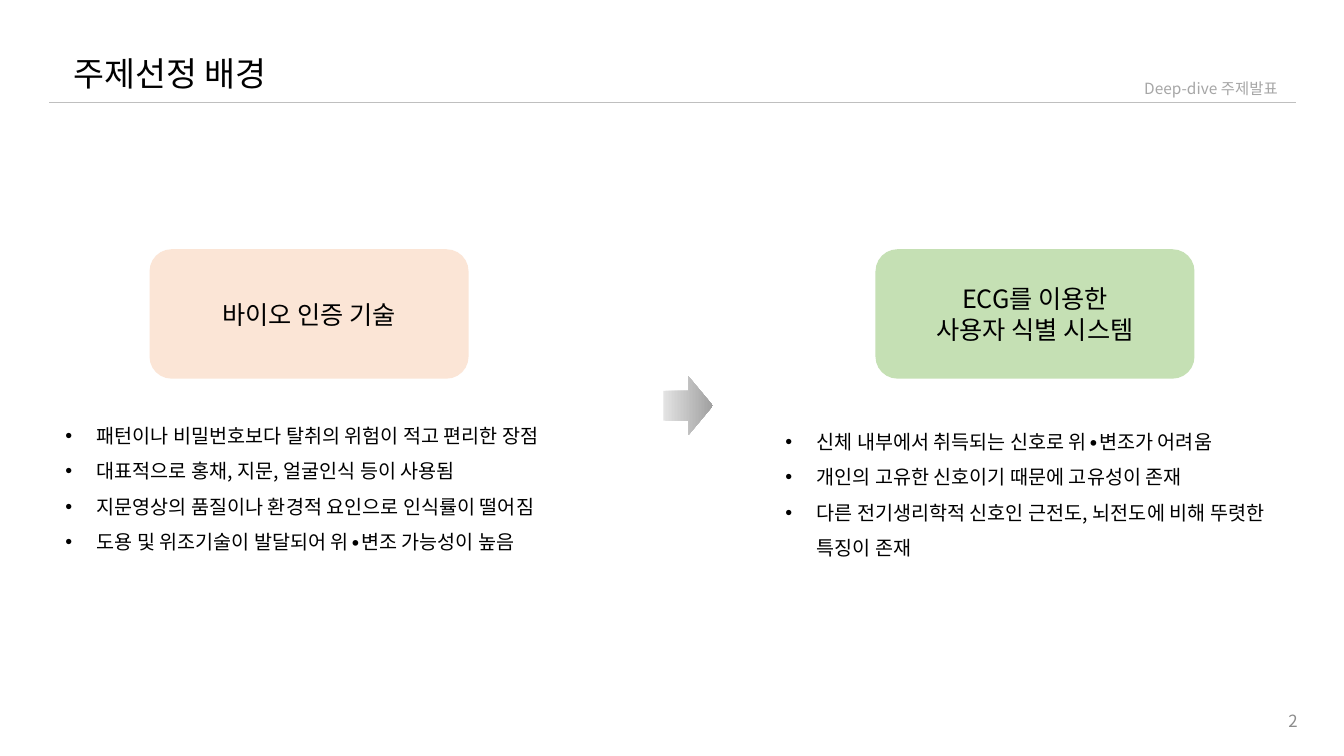
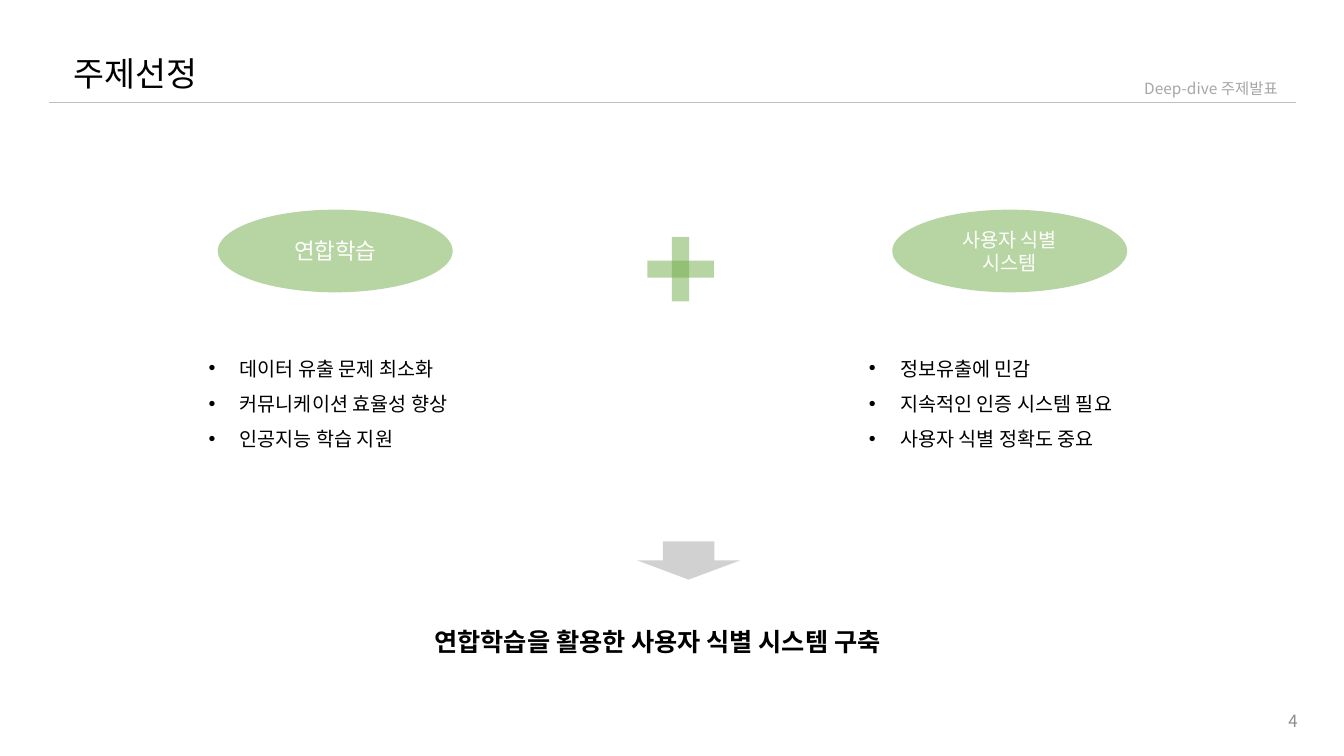
from lxml import etree
from pptx import Presentation, util as u
from pptx.dml.color import RGBColor
from pptx.enum import shapes, text
from pptx.oxml.ns import qn

FONT = "Noto Sans CJK KR"
COLORS = {
    "black": "000000", "white": "FFFFFF", "rule": "BFBFBF", "tag": "A6A6A6",
    "number": "8C8C8C", "peach": "FBE5D6", "mint": "C5E0B4", "green": "70AD47",
    "gray": "A5A5A5", "arrow_light": "E3E3E3", "arrow_dark": "A0A0A0",
}
LEFT, CENTER, RIGHT = text.PP_ALIGN.LEFT, text.PP_ALIGN.CENTER, text.PP_ALIGN.RIGHT
TOP, MIDDLE = text.MSO_ANCHOR.TOP, text.MSO_ANCHOR.MIDDLE
SHAPE = shapes.MSO_SHAPE


def color(name):
    return RGBColor.from_string(COLORS[name])


class Deck:
    """Holds the style and the current slide."""

    def __init__(self):
        self.prs = Presentation()
        self.prs.slide_width, self.prs.slide_height = u.Inches(13.33), u.Inches(7.5)
        self.s = None

    def slide(self, title, number):
        self.s = self.prs.slides.add_slide(self.prs.slide_layouts[6])
        self.label((0.63, 0.48, 2.34, 0.5), [title], 24, wrap=False)
        self.label((11.25, 0.74, 1.59, 0.29), ["Deep-dive 주제발표"], 11, "tag", wrap=False)
        self.rule(0.49, 12.85, 1.02)
        self.label((9.97, 6.95, 3, 0.4), [str(number)], 12, "number", RIGHT, anchor=MIDDLE)

    def fill_text(self, tf, lines, size, ink="black", align=LEFT, font=FONT, bold=False):
        for i, line in enumerate(lines):
            p = tf.paragraphs[0] if i == 0 else tf.add_paragraph()
            p.text, p.alignment = line, align
            p.font.name, p.font.size, p.font.bold = font, u.Pt(size), bold
            p.font.color.rgb = color(ink)
            # East Asian typeface for the Korean text
            latin = p._p.pPr.find(qn("a:defRPr")).find(qn("a:latin"))
            latin.addnext(etree.Element(qn("a:ea"), typeface=FONT))

    def label(self, box, lines, size, ink="black", align=LEFT, wrap=True,
              anchor=TOP, **style):
        tf = self.s.shapes.add_textbox(*map(u.Inches, box)).text_frame
        tf.word_wrap, tf.vertical_anchor = wrap, anchor
        self.fill_text(tf, lines, size, ink, align, **style)
        return tf

    def bullets(self, box, lines):
        for p in self.label(box, lines, 14).paragraphs:
            p.line_spacing = 1.5
            ppr = p._p.pPr
            ppr.set("marL", str(u.Inches(0.31)))
            ppr.set("indent", str(-u.Inches(0.31)))
            rpr = ppr.find(qn("a:defRPr"))
            rpr.addprevious(etree.Element(qn("a:buFont"), typeface="Arial"))
            rpr.addprevious(etree.Element(qn("a:buChar"), char="•"))

    def shape(self, kind, box, fill=None, alpha=None, lines=(), size=18, ink="black"):
        sp = self.s.shapes.add_shape(kind, *map(u.Inches, box))
        sp.shadow.inherit = False
        sp.line.fill.background()
        if fill:
            sp.fill.solid()
            sp.fill.fore_color.rgb = color(fill)
        if alpha:
            clr = sp._element.spPr.find(qn("a:solidFill"))[0]
            etree.SubElement(clr, qn("a:alpha"), val=str(alpha * 1000))
        sp.text_frame.vertical_anchor = MIDDLE
        self.fill_text(sp.text_frame, lines, size, ink, CENTER)
        return sp

    def card(self, x, fill, lines):
        sp = self.shape(SHAPE.ROUNDED_RECTANGLE, (x, 2.48, 3.15, 1.27), fill, lines=lines)
        sp.line.color.rgb, sp.line.width = color(fill), u.Pt(1)

    def oval(self, x, lines, size):
        self.shape(SHAPE.OVAL, (x, 2.08, 2.33, 0.82), "green", 50, lines, size, "white")

    def plus(self, cx, cy, width, height, bar):
        for w, h in ((bar, height), (width, bar)):
            self.shape(SHAPE.RECTANGLE, (cx - w / 2, cy - h / 2, w, h), "green", 50)

    def gradient_arrow(self, box):
        fill = self.shape(SHAPE.RIGHT_ARROW, box).fill
        fill.gradient()
        fill.gradient_angle = 0
        for stop, name in zip(fill.gradient_stops, ("arrow_light", "arrow_dark")):
            stop.color.rgb = color(name)

    def rule(self, x1, x2, y):
        line = self.s.shapes.add_connector(
            shapes.MSO_CONNECTOR.STRAIGHT, *map(u.Inches, (x1, y, x2, y)))
        line.line.color.rgb, line.line.width = color("rule"), u.Pt(0.5)
        etree.SubElement(line._element.spPr, qn("a:effectLst"))


def main():
    deck = Deck()

    # Background: from biometrics to ECG
    deck.slide("주제선정 배경", 2)
    deck.card(1.49, "peach", ["바이오 인증 기술"])
    deck.bullets((0.55, 4.04, 6.67, 1.47), [
        "패턴이나 비밀번호보다 탈취의 위험이 적고 편리한 장점",
        "대표적으로 홍채, 지문, 얼굴인식 등이 사용됨",
        "지문영상의 품질이나 환경적 요인으로 인식률이 떨어짐",
        "도용 및 위조기술이 발달되어 위∙변조 가능성이 높음",
    ])
    deck.gradient_arrow((6.58, 3.73, 0.49, 0.59))
    deck.card(8.69, "mint", ["ECG를 이용한", "사용자 식별 시스템"])
    deck.bullets((7.69, 4.1, 5.01, 1.47), [
        "신체 내부에서 취득되는 신호로 위∙변조가 어려움",
        "개인의 고유한 신호이기 때문에 고유성이 존재",
        "다른 전기생리학적 신호인 근전도, 뇌전도에 비해 뚜렷한 특징이 존재",
    ])

    # Topic: federated learning plus user identification
    deck.slide("주제선정", 4)
    deck.oval(2.16, ["연합학습"], 16)
    deck.plus(6.75, 2.67, 0.66, 0.64, 0.17)
    deck.oval(8.85, ["사용자 식별", "시스템"], 14)
    deck.bullets((1.97, 3.37, 4.05, 1.12), [
        "데이터 유출 문제 최소화", "커뮤니케이션 효율성 향상", "인공지능 학습 지원"])
    deck.bullets((8.52, 3.37, 2.88, 1.12), [
        "정보유출에 민감", "지속적인 인증 시스템 필요", "사용자 식별 정확도 중요"])
    deck.shape(SHAPE.DOWN_ARROW, (6.32, 5.37, 1.02, 0.38), "gray", 50)
    deck.label((4.21, 6.16, 7.19, 0.64), ["연합학습을 활용한 사용자 식별 시스템 구축"],
               18, font="Arial", bold=True)

    deck.prs.save("out.pptx")


if __name__ == "__main__":
    main()
